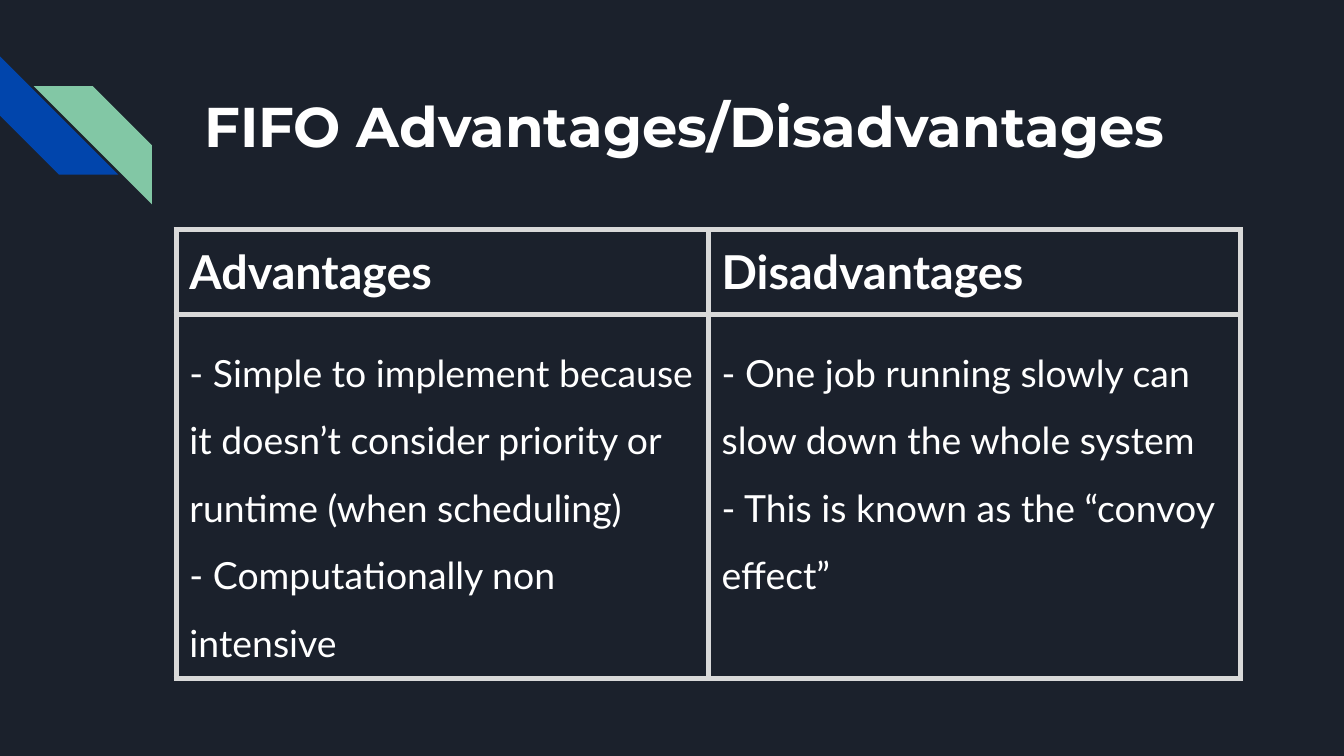
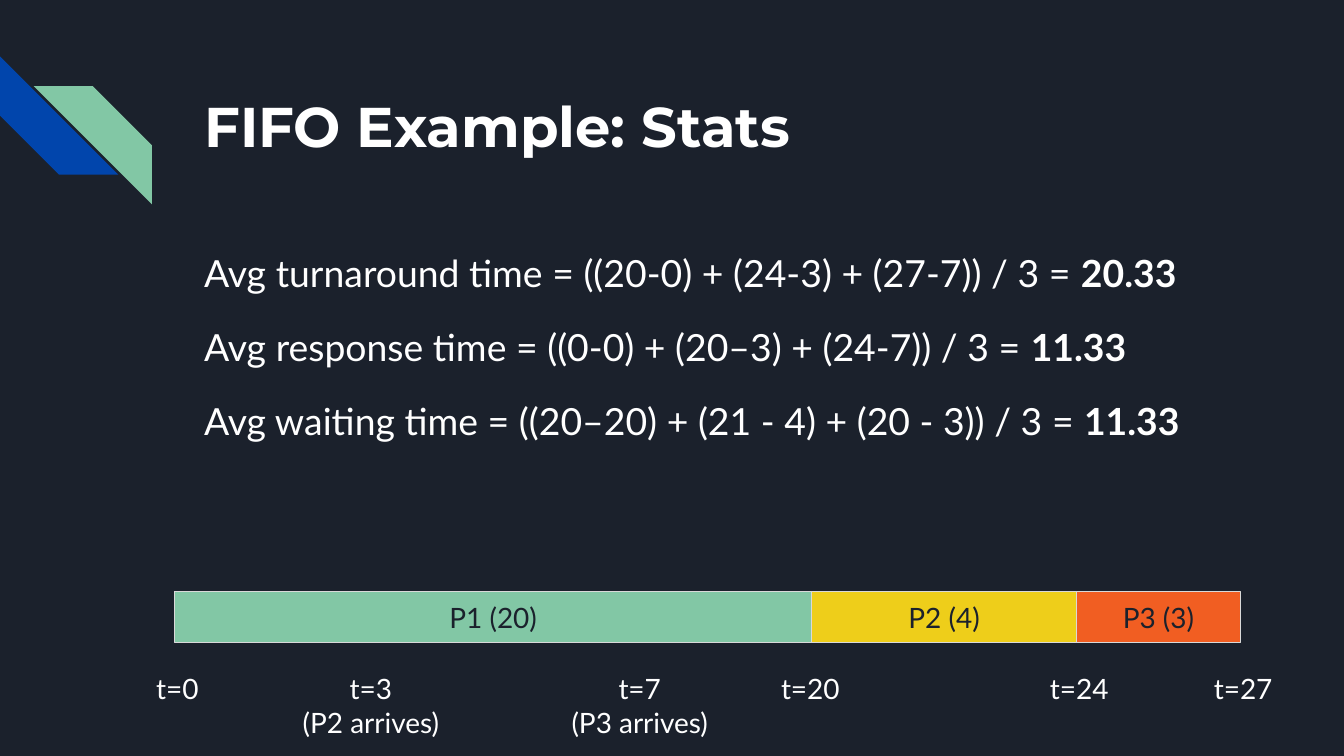
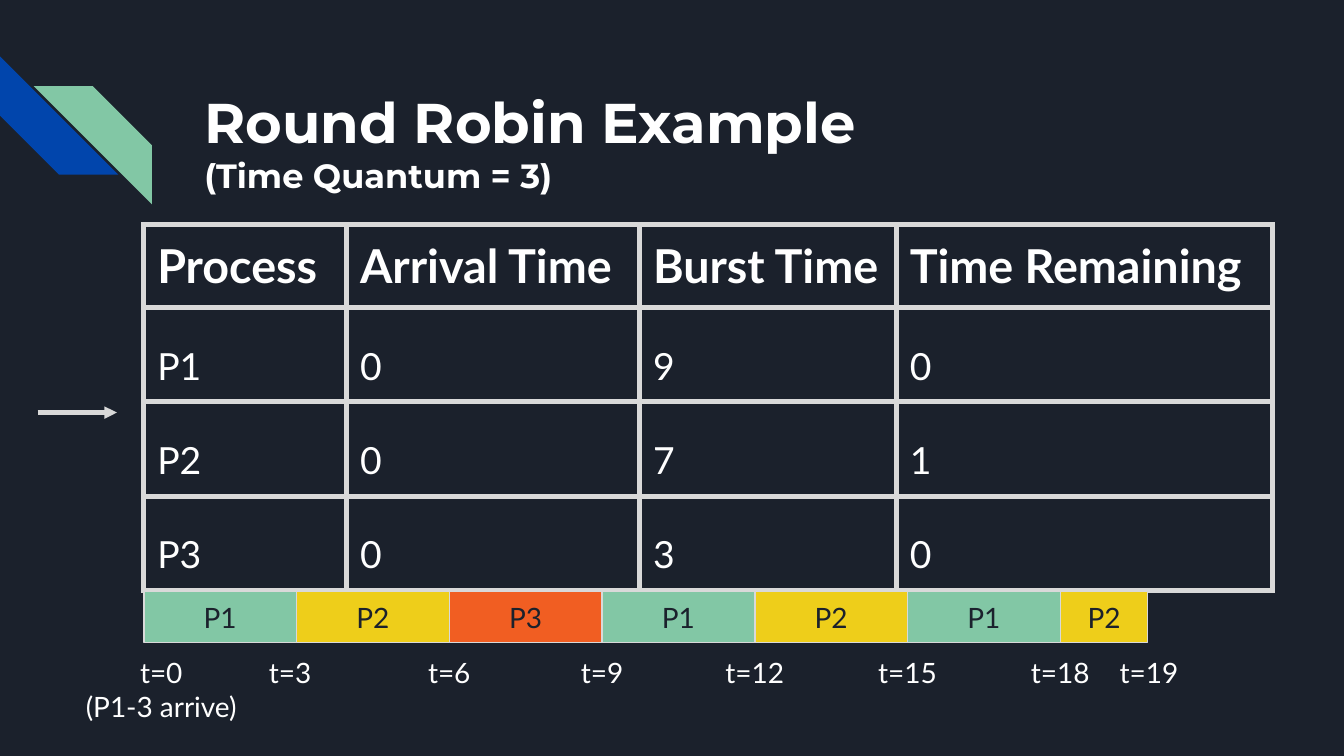
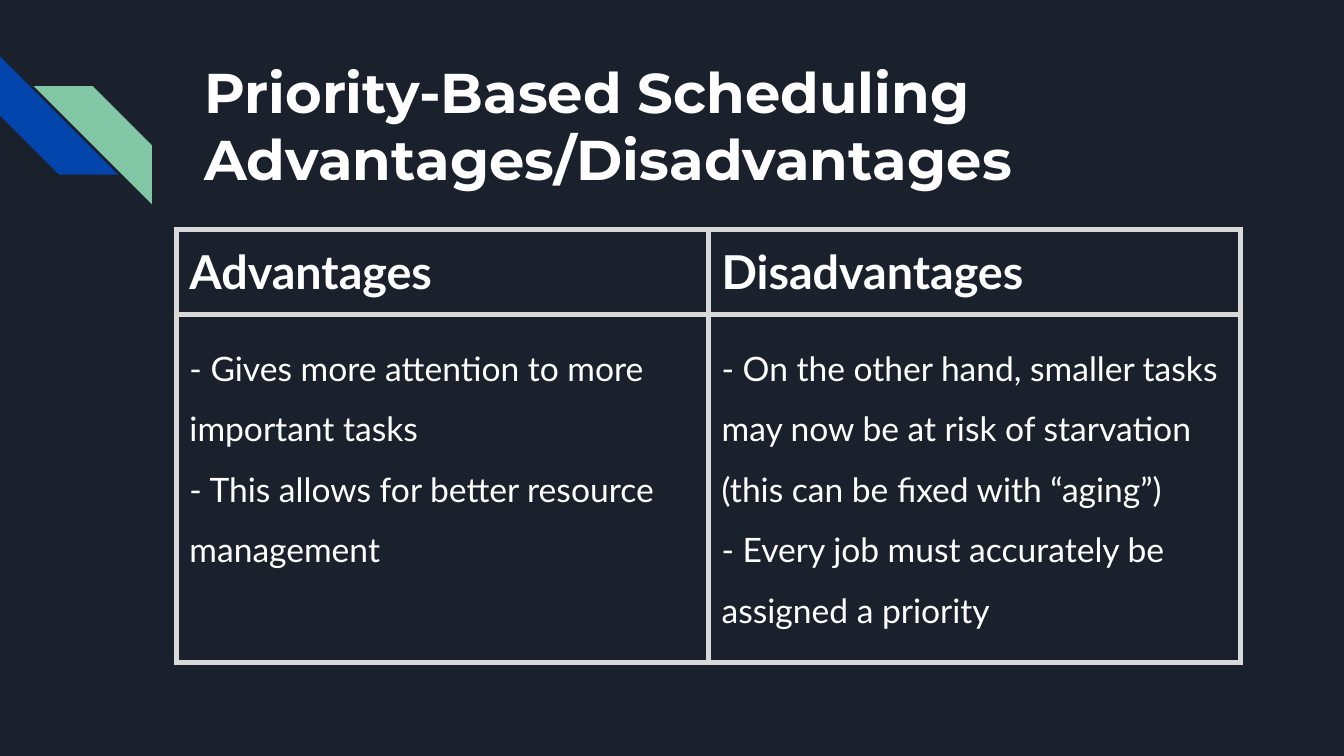
from dataclasses import dataclass
from typing import Any, Optional, Sequence

from lxml.etree import SubElement
from pptx import Presentation
from pptx.dml.color import RGBColor
from pptx.enum.shapes import MSO_CONNECTOR, MSO_SHAPE
from pptx.enum.text import MSO_ANCHOR, MSO_AUTO_SIZE, PP_ALIGN
from pptx.oxml.ns import qn
from pptx.util import Inches, Pt

NAVY = RGBColor(0x1B, 0x21, 0x2C)
BLUE = RGBColor(0x01, 0x45, 0xAC)
GREEN = RGBColor(0x82, 0xC7, 0xA5)
YELLOW = RGBColor(0xEE, 0xCE, 0x1A)
ORANGE = RGBColor(0xF1, 0x5E, 0x22)
GRAY = RGBColor(0xD9, 0xD9, 0xD9)
WHITE = RGBColor(0xFF, 0xFF, 0xFF)

TITLE_FONT = {"name": "Montserrat", "size": Pt(30), "bold": True}
HEADER_FONT = {"name": "Lato", "size": Pt(25), "bold": True}
BODY_FONT = {"name": "Lato", "size": Pt(20), "bold": False}
LABEL_FONT = {"name": "Lato", "size": Pt(15), "bold": False}

SLIDE_WIDTH = Inches(10)
SLIDE_HEIGHT = SLIDE_WIDTH * 9 // 16
INSET = Inches(0.1)
FRAME_FORMAT = {
    "margin_left": INSET,
    "margin_top": INSET,
    "margin_right": INSET,
    "margin_bottom": INSET,
    "word_wrap": True,
    "auto_size": MSO_AUTO_SIZE.NONE,
}
BAR_TOP, BAR_HEIGHT = 4.4, 0.38
PROCESS_COLORS = {"P1": GREEN, "P2": YELLOW, "P3": ORANGE}


@dataclass(frozen=True)
class Stripe:
    left: float
    top: float
    rotation: int
    color: RGBColor


@dataclass(frozen=True)
class Burst:
    """One stretch of processor time on a timeline."""
    label: str
    width: float


@dataclass(frozen=True)
class TimeLabel:
    center: float
    text: str
    width: float = 0.86
    height: float = 0.38


STRIPES = (Stripe(0, 0.42, 270, BLUE), Stripe(0.25, 0.64, 90, GREEN))


def apply_format(target: Any, values: dict) -> None:
    for name, value in values.items():
        setattr(target, name, value)


def add_run(paragraph: Any, text: str, font: dict, color: RGBColor = WHITE) -> None:
    run = paragraph.add_run()
    run.text = text
    apply_format(run.font, font)
    run.font.color.rgb = color


def write_text(frame: Any, text: str, font: dict, color: RGBColor = WHITE,
               alignment: PP_ALIGN = PP_ALIGN.LEFT,
               line_spacing: Optional[float] = None) -> None:
    """Write each line of the text as a paragraph."""
    for index, line in enumerate(text.split("\n")):
        paragraph = frame.add_paragraph() if index else frame.paragraphs[0]
        apply_format(paragraph, {"alignment": alignment, "line_spacing": line_spacing})
        add_run(paragraph, line, font, color)


def add_titled_slide(presentation: Any, title_text: str, title_height: float = 1) -> Any:
    slide = presentation.slides.add_slide(presentation.slide_layouts[5])
    for stripe in STRIPES:
        shape = slide.shapes.add_shape(MSO_SHAPE.DIAGONAL_STRIPE, Inches(stripe.left),
                                       Inches(stripe.top), Inches(0.88), Inches(0.88))
        shape.rotation = stripe.rotation
        shape.shadow.inherit = False
        shape.fill.solid()
        shape.fill.fore_color.rgb = stripe.color
        shape.line.fill.background()
    title = slide.shapes.title
    apply_format(title, {"left": Inches(1.42), "top": Inches(0.43),
                         "width": Inches(7.7), "height": Inches(title_height)})
    apply_format(title.text_frame, FRAME_FORMAT)
    title.text_frame.vertical_anchor = MSO_ANCHOR.MIDDLE
    write_text(title.text_frame, title_text, TITLE_FONT)
    return slide


def add_text_box(slide: Any, left: float, top: float, width: float, height: float) -> Any:
    box = slide.shapes.add_textbox(Inches(left), Inches(top), Inches(width), Inches(height))
    apply_format(box.text_frame, FRAME_FORMAT)
    return box.text_frame


def set_cell_borders(cell: Any) -> None:
    properties = cell._tc.get_or_add_tcPr()
    for index, side in enumerate(("a:lnL", "a:lnR", "a:lnT", "a:lnB")):
        line = properties.makeelement(qn(side), {"w": str(Pt(3))})
        fill = SubElement(line, qn("a:solidFill"))
        SubElement(fill, qn("a:srgbClr"), {"val": str(GRAY)})
        properties.insert(index, line)


def add_grid(slide: Any, left: float, top: float, column_widths: Sequence[float],
             row_heights: Sequence[float], rows: Sequence[Sequence[str]],
             body_font: dict = BODY_FONT) -> None:
    """Add an outlined table whose first row is the header."""
    frame = slide.shapes.add_table(len(rows), len(column_widths), Inches(left), Inches(top),
                                   Inches(sum(column_widths)), Inches(sum(row_heights)))
    table = frame.table
    apply_format(table, {"first_row": False, "horz_banding": False})
    for column, width in zip(table.columns, column_widths):
        column.width = Inches(width)
    for row, height in zip(table.rows, row_heights):
        row.height = Inches(height)
    margins = {name: value for name, value in FRAME_FORMAT.items() if name.startswith("margin")}
    for row_index, texts in enumerate(rows):
        for column_index, text in enumerate(texts):
            cell = table.cell(row_index, column_index)
            apply_format(cell, margins)
            cell.fill.background()
            set_cell_borders(cell)
            if row_index == 0:
                write_text(cell.text_frame, text, HEADER_FONT)
            else:
                write_text(cell.text_frame, text, body_font, line_spacing=1.5)


def add_comparison(presentation: Any, title: str, advantages: str, disadvantages: str,
                   body_font: dict = BODY_FONT) -> None:
    slide = add_titled_slide(presentation, title)
    rows = (("Advantages", "Disadvantages"), (advantages, disadvantages))
    add_grid(slide, 1.31, 1.71, (3.96, 3.96), (0.63, 2.59), rows, body_font)


def add_timeline(slide: Any, left: float, bursts: Sequence[Burst],
                 label_top: float, labels: Sequence[TimeLabel]) -> None:
    for burst in bursts:
        bar = slide.shapes.add_shape(MSO_SHAPE.RECTANGLE, Inches(left), Inches(BAR_TOP),
                                     Inches(burst.width), Inches(BAR_HEIGHT))
        bar.shadow.inherit = False
        bar.fill.solid()
        bar.fill.fore_color.rgb = PROCESS_COLORS[burst.label[:2]]
        bar.line.color.rgb = GRAY
        bar.line.width = Pt(0.75)
        apply_format(bar.text_frame, FRAME_FORMAT)
        bar.text_frame.vertical_anchor = MSO_ANCHOR.MIDDLE
        write_text(bar.text_frame, burst.label, LABEL_FONT, NAVY, PP_ALIGN.CENTER)
        left += burst.width
    for label in labels:
        frame = add_text_box(slide, label.center - label.width / 2, label_top,
                             label.width, label.height)
        write_text(frame, label.text, LABEL_FONT, alignment=PP_ALIGN.CENTER)


def add_arrow(slide: Any, start: float, end: float, y: float) -> None:
    arrow = slide.shapes.add_connector(MSO_CONNECTOR.STRAIGHT, Inches(start), Inches(y),
                                       Inches(end), Inches(y))
    arrow.line.color.rgb = GRAY
    arrow.line.width = Pt(2.25)
    SubElement(arrow.line._get_or_add_ln(), qn("a:tailEnd"), {"type": "triangle"})
    SubElement(arrow._element.spPr, qn("a:effectLst"))


def add_fifo_stats(presentation: Any) -> None:
    slide = add_titled_slide(presentation, "FIFO Example: Stats")
    averages = (
        ("Avg turnaround time = ((20-0) + (24-3) + (27-7)) / 3 = ", "20.33"),
        ("Avg response time = ((0-0) + (20–3) + (24-7)) / 3 = ", "11.33"),
        ("Avg waiting time = ((20–20) + (21 - 4) + (20 - 3)) / 3 = ", "11.33"),
    )
    frame = add_text_box(slide, 1.42, 1.71, 7.7, 2.57)
    write_text(frame, "\n".join(formula for formula, _ in averages), BODY_FONT,
               line_spacing=1.15)
    for index, (paragraph, (_, result)) in enumerate(zip(frame.paragraphs, averages)):
        paragraph.space_before = Pt(12 if index else 0)
        add_run(paragraph, result, {**BODY_FONT, "bold": True})
    bursts = (Burst("P1 (20)", 4.74), Burst("P2 (4)", 1.97), Burst("P3 (3)", 1.22))
    labels = (
        TimeLabel(1.32, "t=0"),
        TimeLabel(2.76, "t=3\n(P2 arrives)", 1.32, 0.72),
        TimeLabel(4.76, "t=7\n(P3 arrives)", 1.32, 0.72),
        TimeLabel(6.03, "t=20"),
        TimeLabel(8.03, "t=24"),
        TimeLabel(9.25, "t=27"),
    )
    add_timeline(slide, 1.3, bursts, 4.9, labels)


def add_round_robin(presentation: Any) -> None:
    slide = add_titled_slide(presentation, "Round Robin Example\n(Time Quantum = 3)", 1.24)
    slide.shapes.title.text_frame.paragraphs[1].runs[0].font.size = Pt(18)
    rows = (
        ("Process", "Arrival Time", "Burst Time", "Time Remaining"),
        ("P1", "0", "9", "0"),
        ("P2", "0", "7", "1"),
        ("P3", "0", "3", "0"),
    )
    left = 1.07
    add_grid(slide, left, 1.67, (1.51, 2.18, 1.91, 2.8), (0.49, 0.43, 0.57, 0.57), rows)
    quantum_width = 6.82 / 6
    bursts = [Burst(name, quantum_width) for name in ("P1", "P2", "P3", "P1", "P2", "P1")]
    bursts.append(Burst("P2", 0.65))
    labels = [TimeLabel(1.2, "t=0\n(P1-3 arrive)", 1.55, 0.55), TimeLabel(2.16, "t=3")]
    labels += [TimeLabel(left + turn * quantum_width, f"t={3 * turn}") for turn in range(2, 7)]
    labels.append(TimeLabel(8.55, "t=19"))
    add_timeline(slide, left, bursts, 4.78, labels)
    add_arrow(slide, 0.28, 0.87, 3.07)


def main() -> None:
    presentation = Presentation()
    apply_format(presentation, {"slide_width": SLIDE_WIDTH, "slide_height": SLIDE_HEIGHT})
    background = presentation.slide_master.background.fill
    background.solid()
    background.fore_color.rgb = NAVY

    add_comparison(
        presentation, "FIFO Advantages/Disadvantages",
        "- Simple to implement because it doesn’t consider priority or runtime "
        "(when scheduling)\n- Computationally non intensive",
        "- One job running slowly can slow down the whole system\n"
        "- This is known as the “convoy effect”")
    add_fifo_stats(presentation)
    add_round_robin(presentation)
    add_comparison(
        presentation, "Priority-Based Scheduling\nAdvantages/Disadvantages",
        "- Gives more attention to more important tasks\n"
        "- This allows for better resource management",
        "- On the other hand, smaller tasks may now be at risk of starvation "
        "(this can be fixed with “aging”)\n"
        "- Every job must accurately be assigned a priority",
        {**BODY_FONT, "size": Pt(18)})
    presentation.save("out.pptx")


if __name__ == "__main__":
    main()
